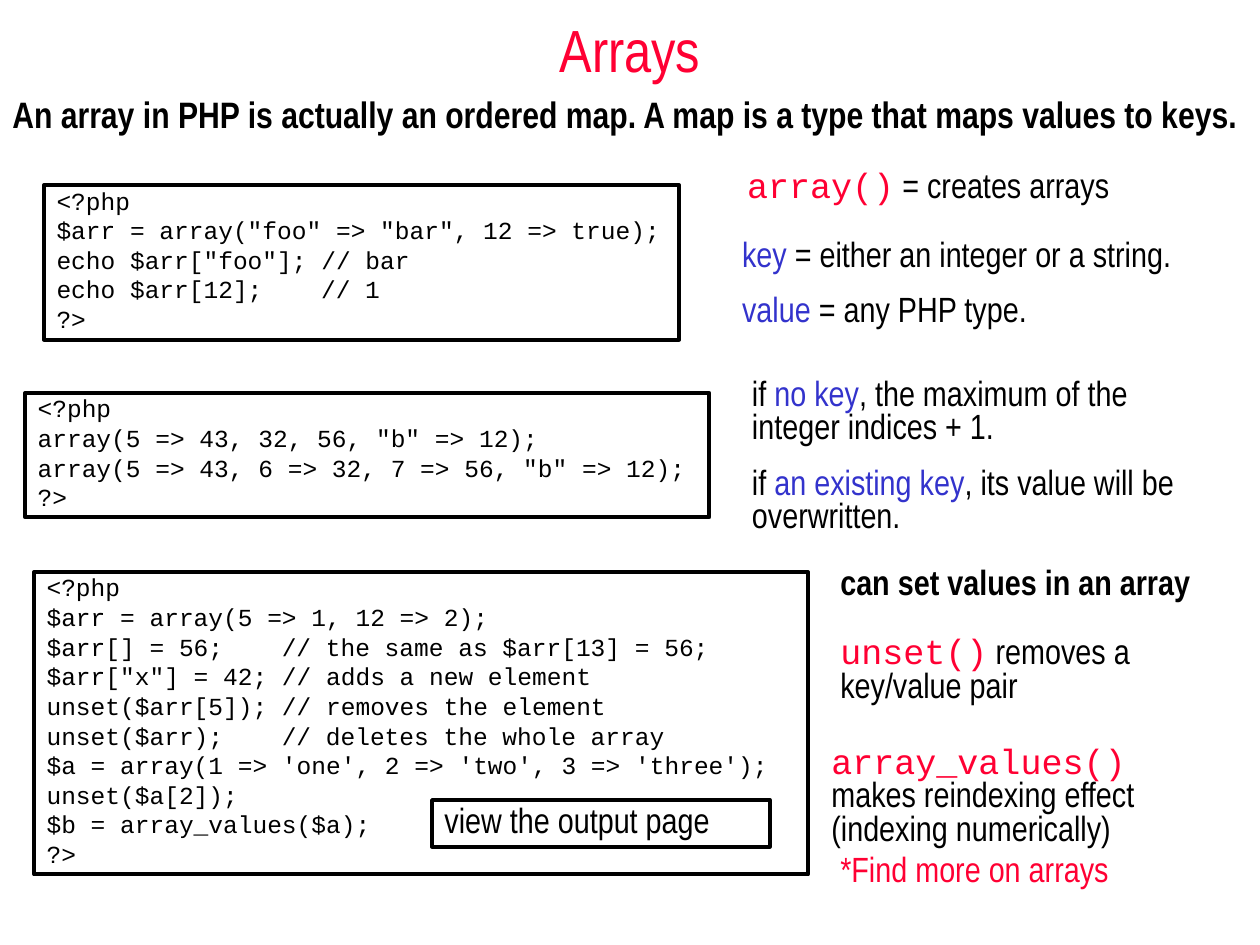
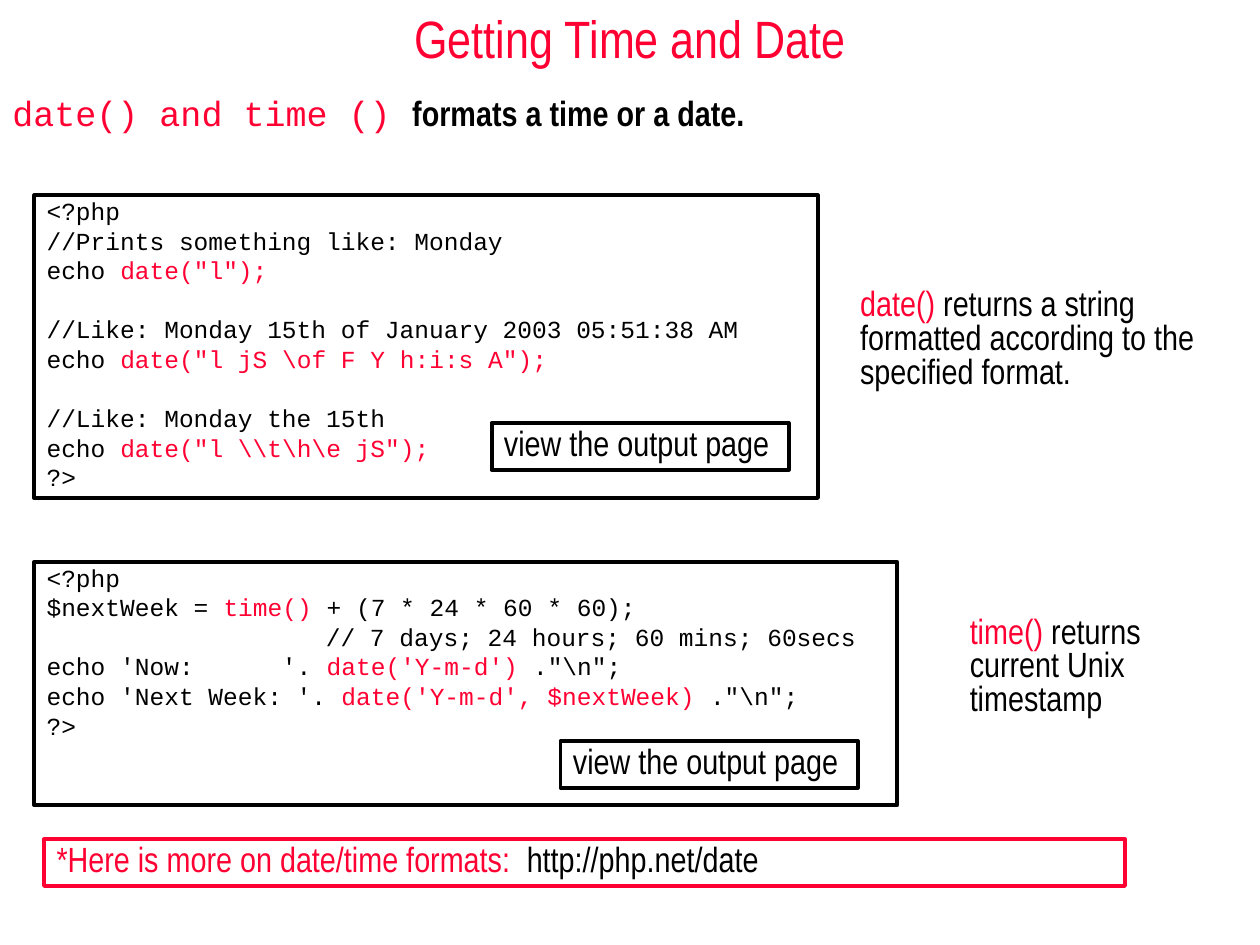
from lxml import etree
from pptx import Presentation
from pptx.dml.color import RGBColor
from pptx.enum.shapes import MSO_SHAPE
from pptx.enum.text import MSO_ANCHOR, MSO_AUTO_SIZE, PP_ALIGN
from pptx.oxml.ns import qn
from pptx.util import Cm, Pt

RECT = MSO_SHAPE.RECTANGLE
TOP, MIDDLE = MSO_ANCHOR.TOP, MSO_ANCHOR.MIDDLE
LEFT, CENTER = PP_ALIGN.LEFT, PP_ALIGN.CENTER
NO_FIT = MSO_AUTO_SIZE.NONE

SANS, MONO = "Arial Narrow", "Courier New"
BLACK, RED, BLUE = "000000", "FF0033", "3333CC"
WIDTH, HEIGHT = 25.4, 19.05
CODE_SIZE, NOTE_SIZE = 14, 20
CODE_GAP, NOTE_GAP = 3.5, 12.5
BLANK_LINE = 16.9
CHAR_WIDTH = 0.6 * CODE_SIZE * 2.54 / 72

KEYWORD = dict(color=RED)
TERM = dict(color=BLUE)
FUNCTION = dict(color=RED, font=MONO)


def rgb(value):
    return RGBColor.from_string(value)


def add_run(p, text, size=NOTE_SIZE, font=SANS, color=BLACK, bold=False):
    r = p.add_run()
    r.text = text
    r.font.size = Pt(size)
    r.font.name = font
    r.font.bold = bold
    r.font.color.rgb = rgb(color)


def add_tab_stop(p, position):
    tabs = etree.SubElement(p._p.get_or_add_pPr(), qn("a:tabLst"))
    etree.SubElement(tabs, qn("a:tab"), pos=str(Cm(position)), algn="l")


def write(tf, paragraphs, gap=NOTE_GAP, spacing=0.8, tab=None, **style):
    tf.word_wrap = True
    tf.auto_size = NO_FIT
    tf.vertical_anchor = TOP
    extra = 0
    used = False
    for runs in paragraphs:
        if not runs:
            extra += BLANK_LINE
            continue
        p = tf.add_paragraph() if used else tf.paragraphs[0]
        used = True
        p.alignment = LEFT
        p.line_spacing = spacing
        p.space_before = Pt(gap + extra)
        extra = 0
        if tab:
            add_tab_stop(p, tab)
        for run in [runs] if isinstance(runs, str) else runs:
            text, own = (run, {}) if isinstance(run, str) else run
            add_run(p, text, **{**style, **own})


def add_title(s, text, height, size):
    title = s.shapes.title
    title.left, title.top, title.width, title.height = 0, 0, Cm(WIDTH), Cm(height)
    tf = title.text_frame
    tf.auto_size = NO_FIT
    tf.vertical_anchor = MIDDLE
    p = tf.paragraphs[0]
    p.alignment = CENTER
    add_run(p, text, size=size, color=RED)


def add_note(s, box, paragraphs, **style):
    sp = s.shapes.add_textbox(*map(Cm, box))
    write(sp.text_frame, paragraphs, **style)


def add_summary(s, runs, **style):
    add_note(s, (0, 1.73, WIDTH, 1.2), [runs], gap=5, spacing=1.0, **style)


def add_frame(s, box, paragraphs, line=BLACK, **style):
    sp = s.shapes.add_shape(RECT, *map(Cm, box))
    sp.shadow.inherit = False
    sp.fill.background()
    sp.line.color.rgb = rgb(line)
    sp.line.width = Pt(2.25)
    write(sp.text_frame, paragraphs, **style)


def add_code(s, box, lines, comment_column=None, output_box=None):
    tab = comment_column * CHAR_WIDTH if comment_column else None
    add_frame(s, box, lines, gap=CODE_GAP, tab=tab, size=CODE_SIZE, font=MONO)
    if output_box:
        left, top, width = output_box
        add_frame(s, (box[0] + left, box[1] + top, width, 0.94),
                  ["view the output page"])


def new_slide(prs):
    return prs.slides.add_slide(prs.slide_layouts[5])


def build_arrays(prs):
    s = new_slide(prs)
    add_title(s, "Arrays", 1.98, 34)
    add_summary(s, "An array in PHP is actually an ordered map. "
                   "A map is a type that maps values to keys.", size=21, bold=True)

    add_code(s, (0.89, 3.73, 12.8, 3.12), [
        "<?php",
        '$arr = array("foo" => "bar", 12 => true);',
        'echo $arr["foo"]; // bar',
        "echo $arr[12];\t// 1",
        "?>",
    ], comment_column=18)
    add_note(s, (14.81, 3.33, 8.51, 0.94),
             [[("array()", FUNCTION), " = creates arrays"]])
    add_note(s, (14.71, 4.72, 9.6, 2.06), [
        [("key", TERM), " = either an integer or a string."],
        [("value", TERM), " = any PHP type."],
    ])

    add_code(s, (0.51, 7.92, 13.79, 2.51), [
        "<?php",
        'array(5 => 43, 32, 56, "b" => 12);',
        'array(5 => 43, 6 => 32, 7 => 56, "b" => 12);',
        "?>",
    ])
    add_note(s, (14.91, 7.52, 9.6, 3.4), [
        ["if ", ("no key", TERM), ", the maximum of the integer indices + 1."],
        ["if ", ("an existing key", TERM), ", its value will be overwritten."],
    ])

    add_code(s, (0.69, 11.53, 15.6, 6.1), [
        "<?php",
        "$arr = array(5 => 1, 12 => 2);",
        "$arr[] = 56;\t// the same as $arr[13] = 56;",
        '$arr["x"] = 42; // adds a new element',
        "unset($arr[5]); // removes the element",
        "unset($arr);\t// deletes the whole array",
        "$a = array(1 => 'one', 2 => 'two', 3 => 'three');",
        "unset($a[2]);",
        "$b = array_values($a);",
        "?>",
    ], comment_column=16, output_box=(8.02, 4.6, 6.81))
    add_note(s, (16.69, 11.33, 8, 0.94), ["can set values in an array"], bold=True)
    add_note(s, (16.69, 12.73, 6.81, 1.63),
             [[("unset()", FUNCTION), " removes a key/value pair"]])
    add_note(s, (16.51, 14.94, 7.9, 2.29),
             [[("array_values()", FUNCTION),
               " makes reindexing effect (indexing numerically)"]])
    add_note(s, (16.69, 17.12, 6.6, 0.94), ["*Find more on arrays"], color=RED)


def build_dates(prs):
    s = new_slide(prs)
    add_title(s, "Getting Time and Date", 1.52, 30)
    add_summary(s, [("date() and time () ", FUNCTION),
                    ("formats a time or a date.", dict(bold=True))])

    add_code(s, (0.69, 3.94, 15.8, 6.1), [
        "<?php",
        "//Prints something like: Monday",
        ["echo ", ('date("l");', KEYWORD)],
        None,
        "//Like: Monday 15th of January 2003 05:51:38 AM",
        ["echo ", (r'date("l jS \of F Y h:i:s A");', KEYWORD)],
        None,
        "//Like: Monday the 15th",
        ["echo ", (r'date("l \\t\h\e jS");', KEYWORD)],
        "?>",
    ], output_box=(9.22, 4.59, 5.99))
    add_note(s, (17.09, 5.72, 7.39, 2.29),
             [[("date()", KEYWORD),
               " returns a string formatted according to the specified format."]])

    add_code(s, (0.69, 11.33, 17.4, 4.9), [
        "<?php",
        ["$nextWeek = ", ("time()", KEYWORD), " + (7 * 24 * 60 * 60);"],
        "\t// 7 days; 24 hours; 60 mins; 60secs",
        ["echo 'Now:      '. ", ("date('Y-m-d')", KEYWORD), r' ."\n";'],
        ["echo 'Next Week: '. ", ("date('Y-m-d', $nextWeek)", KEYWORD), r' ."\n";'],
        "?>",
    ], comment_column=19, output_box=(10.61, 3.61, 5.99))
    add_note(s, (19.3, 12.32, 5.41, 2.29),
             [[("time()", KEYWORD), " returns current Unix timestamp"]])

    add_frame(s, (0.89, 16.92, 21.79, 0.94),
              [[("*Here is more on date/time formats:", KEYWORD),
                "\thttp://php.net/date"]], line=RED, tab=9.48)


def main():
    prs = Presentation()
    prs.slide_width, prs.slide_height = Cm(WIDTH), Cm(HEIGHT)
    build_arrays(prs)
    build_dates(prs)
    prs.save("out.pptx")


if __name__ == "__main__":
    main()
